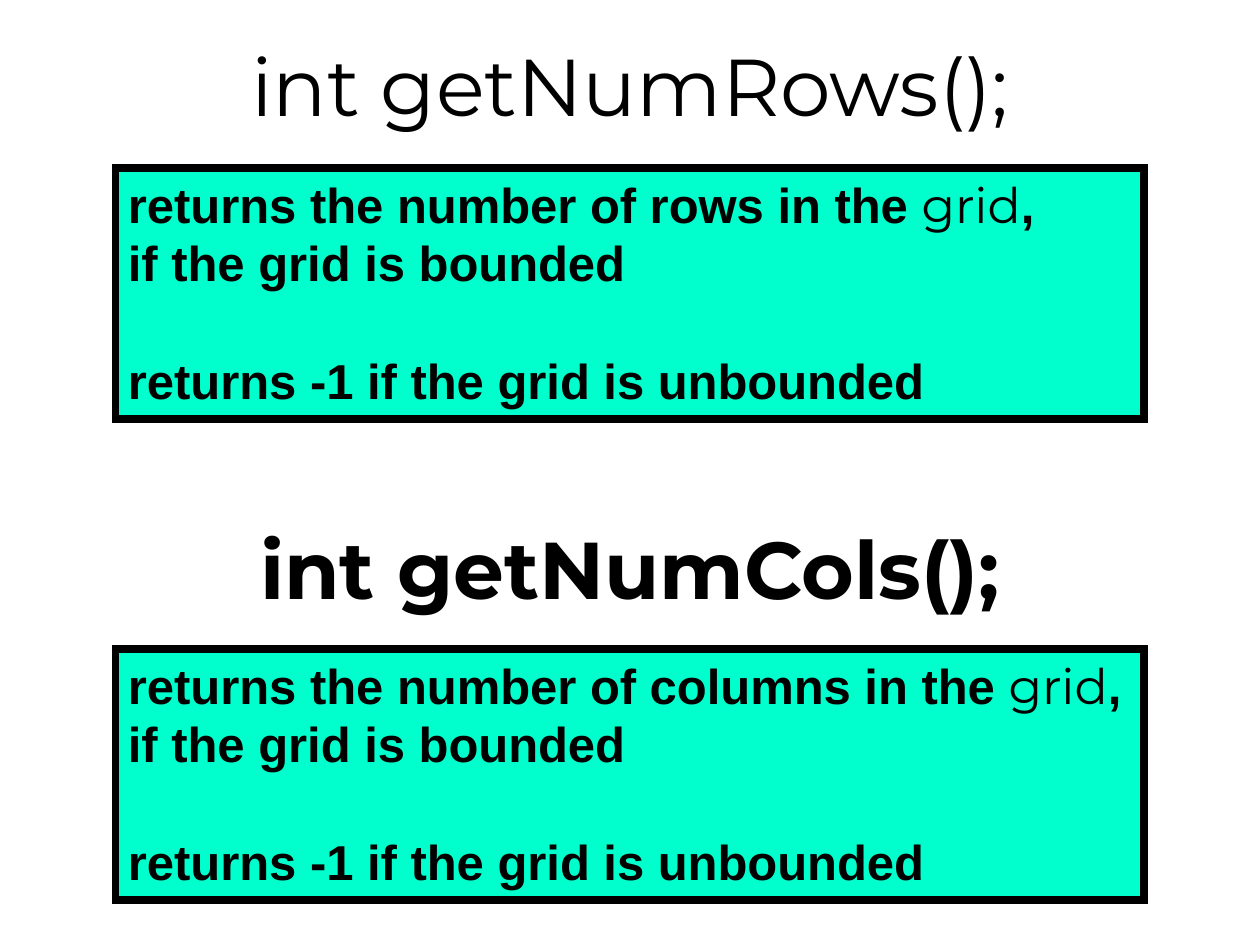
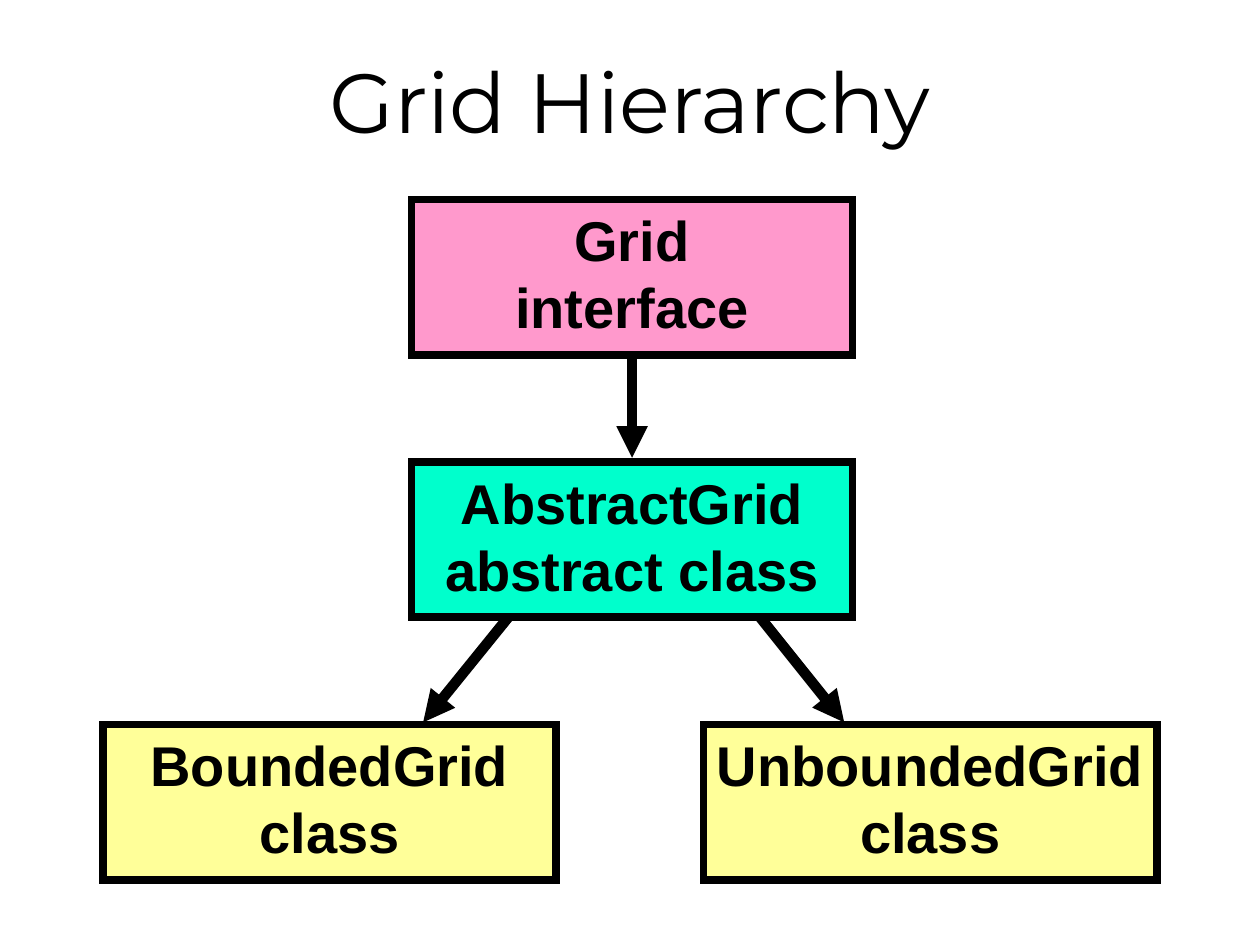
from lxml.etree import SubElement
from pptx import Presentation
from pptx.dml.color import RGBColor
from pptx.enum.shapes import MSO_CONNECTOR, MSO_SHAPE
from pptx.enum.text import MSO_ANCHOR, MSO_AUTO_SIZE, PP_ALIGN
from pptx.oxml.ns import qn
from pptx.util import Emu, Pt

PX = 7620  # EMU in one px, 120 px to the inch
BLACK, WHITE = "000000", "FFFFFF"
MINT, PINK, YELLOW = "00FFCC", "FF99CC", "FFFF99"
TITLE_FONT, BODY_FONT = "Montserrat", "Arial"
LINE_RATIO = 1.2


def color(value):
    return RGBColor.from_string(value)


def px(*lengths):
    return [Emu(length * PX) for length in lengths]


class Deck:
    def __init__(self, width, height):
        self.deck = Presentation()
        self.deck.slide_width, self.deck.slide_height = px(width, height)
        self.page = None

    def add_page(self):
        self.page = self.deck.slides.add_slide(self.deck.slide_layouts[5])

    def set_font(self, font, name, size, bold):
        font.name, font.size, font.bold = name, Pt(size), bold
        font.color.rgb = color(BLACK)

    def write_heading(self, box, text, size, bold):
        frame = box.text_frame
        frame.text = text
        frame.word_wrap = True
        frame.auto_size = MSO_AUTO_SIZE.NONE
        frame.vertical_anchor = MSO_ANCHOR.MIDDLE
        para = frame.paragraphs[0]
        para.alignment = PP_ALIGN.CENTER
        self.set_font(para.font, TITLE_FONT, size, bold)

    def title(self, text, left, top, width, height, size, fill=None):
        box = self.page.shapes.title
        box.left, box.top, box.width, box.height = px(left, top, width, height)
        if fill:
            box.fill.solid()
            box.fill.fore_color.rgb = color(fill)
        self.write_heading(box, text, size, False)

    def heading(self, text, left, top, width, height, size):
        box = self.page.shapes.add_textbox(*px(left, top, width, height))
        self.write_heading(box, text, size, True)

    def box(self, lines, left, top, width, height, fill, size, alignment):
        """Each line is a list of (text, is_code) spans."""
        box = self.page.shapes.add_shape(
            MSO_SHAPE.RECTANGLE, *px(left, top, width, height))
        box.shadow.inherit = False
        box.fill.solid()
        box.fill.fore_color.rgb = color(fill)
        box.line.color.rgb = color(BLACK)
        box.line.width = Pt(4.5)
        SubElement(box.line._get_or_add_ln(), qn("a:miter"), lim="800000")
        frame = box.text_frame
        frame.word_wrap = True
        frame.vertical_anchor = MSO_ANCHOR.TOP
        for index, line in enumerate(lines):
            para = frame.add_paragraph() if index else frame.paragraphs[0]
            para.alignment = alignment
            para.line_spacing = Pt(size * LINE_RATIO)
            self.set_font(para.font, BODY_FONT, size, True)
            for text, is_code in line:
                span = para.add_run()
                span.text = text
                if is_code:
                    self.set_font(span.font, TITLE_FONT, size, False)
        return box

    def arrow(self, x1, y1, x2, y2, source=None):
        arrow = self.page.shapes.add_connector(
            MSO_CONNECTOR.STRAIGHT, *px(x1, y1, x2, y2))
        if source:
            arrow.begin_connect(source, 2)
        arrow.line.color.rgb = color(BLACK)
        arrow.line.width = Pt(6)
        SubElement(arrow.line._get_or_add_ln(), qn("a:tailEnd"), type="triangle")
        SubElement(arrow._element.spPr, qn("a:effectLst"))


def build_methods(deck):
    deck.add_page()
    size = 28
    # The second method repeats the first, further down
    methods = [("int getNumRows();", "rows", 0, 160),
               ("int getNumCols();", "columns", 460, 618)]
    for signature, counted, heading_top, box_top in methods:
        write = deck.heading if heading_top else deck.title
        write(signature, 0, heading_top, 1200, 160, 46)
        lines = [
            [(f"returns the number of {counted} in the ", False),
             ("grid", True), (",", False)],
            [("if the grid is bounded", False)],
            [("returns -1 if the grid is unbounded", False)],
        ]
        box = deck.box(lines, 110, box_top, 980, 239, MINT, size, PP_ALIGN.LEFT)
        box.text_frame.paragraphs[-1].space_before = Pt(size * LINE_RATIO)


def build_hierarchy(deck):
    deck.add_page()
    deck.title("Grid Hierarchy", 20, 30, 1160, 130, 48, WHITE)

    # Types, from the interface down to the classes
    types = [("Grid", "interface", 392, 190, 420, PINK),
             ("AbstractGrid", "abstract class", 392, 440, 420, MINT),
             ("BoundedGrid", "class", 98, 690, 432, YELLOW),
             ("UnboundedGrid", "class", 670, 690, 432, YELLOW)]
    boxes = {}
    for name, kind, left, top, width, fill in types:
        lines = [[(name, False)], [(kind, False)]]
        boxes[name] = deck.box(
            lines, left, top, width, 148, fill, 32, PP_ALIGN.CENTER)

    # Arrow tips stop at the outer edge of each border
    deck.arrow(602, 338, 602, 436, boxes["Grid"])
    for start, end in ((484, 403), (724, 804)):
        deck.arrow(start, 588, end, 688)


def main():
    deck = Deck(1200, 900)
    build_methods(deck)
    build_hierarchy(deck)
    deck.deck.save("out.pptx")


if __name__ == "__main__":
    main()
